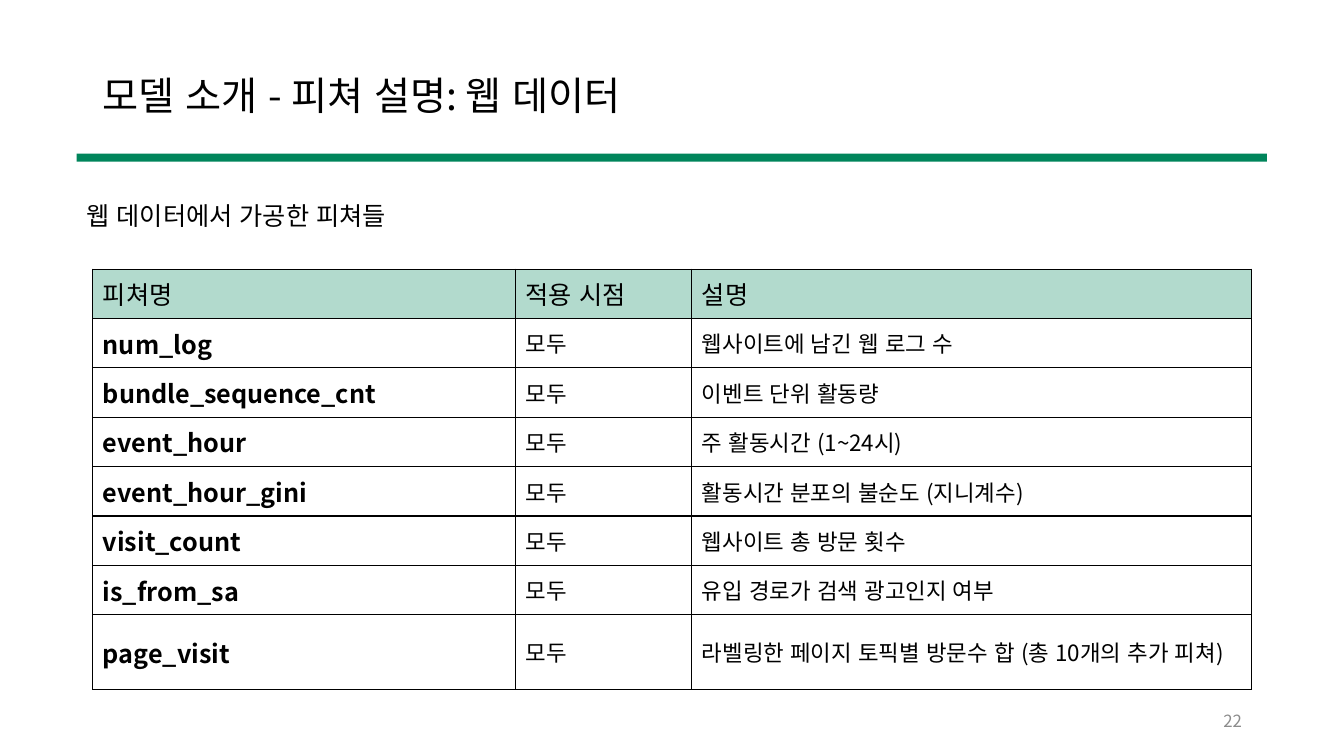
from dataclasses import dataclass

from lxml import etree
from pptx import Presentation
from pptx.dml.color import RGBColor
from pptx.enum.lang import MSO_LANGUAGE_ID
from pptx.enum.shapes import MSO_SHAPE
from pptx.enum.text import MSO_ANCHOR, MSO_AUTO_SIZE, PP_ALIGN
from pptx.oxml.ns import qn
from pptx.util import Pt

RECTANGLE = MSO_SHAPE.RECTANGLE
MIDDLE, TOP = MSO_ANCHOR.MIDDLE, MSO_ANCHOR.TOP
LEFT, RIGHT = PP_ALIGN.LEFT, PP_ALIGN.RIGHT
NO_FIT = MSO_AUTO_SIZE.NONE
KOREAN = MSO_LANGUAGE_ID.KOREAN

BLACK = RGBColor(0x00, 0x00, 0x00)
WHITE = RGBColor(0xFF, 0xFF, 0xFF)
GREY = RGBColor(0x8C, 0x8C, 0x8C)
GREEN = RGBColor(0x00, 0x85, 0x5B)
MINT = RGBColor(0xB2, 0xDA, 0xCD)

FONT = "Noto Sans CJK KR"
MARGIN = 66.24
CONTENT_WIDTH = 828
COLUMN_WIDTHS = (302, 126, 400)
ROW_HEIGHT = 35.28
TWO_LINE_ROW_HEIGHT = 53.6
HEADINGS = ("피쳐명", "적용 시점", "설명")


@dataclass
class Feature:
    name: str
    description: str
    applies_to: str = "모두"
    height: float = ROW_HEIGHT


@dataclass
class TextStyle:
    size: float
    bold: bool = False
    color: RGBColor = BLACK
    align: PP_ALIGN = LEFT


HEADING = TextStyle(18)
FEATURE_NAME = TextStyle(18, bold=True)
DETAIL = TextStyle(16)

FEATURES = [
    Feature("num_log", "웹사이트에 남긴 웹 로그 수"),
    Feature("bundle_sequence_cnt", "이벤트 단위 활동량"),
    Feature("event_hour", "주 활동시간 (1~24시)"),
    Feature("event_hour_gini", "활동시간 분포의 불순도 (지니계수)"),
    Feature("visit_count", "웹사이트 총 방문 횟수"),
    Feature("is_from_sa", "유입 경로가 검색 광고인지 여부"),
    Feature("page_visit", "라벨링한 페이지 토픽별 방문수 합 (총 10개의 추가 피쳐)",
            height=TWO_LINE_ROW_HEIGHT),
]


def write(frame, text: str, style: TextStyle) -> None:
    frame.text = text
    para = frame.paragraphs[0]
    para.alignment = style.align
    for span in para.runs:
        span.font.name = FONT
        span.font.size = Pt(style.size)
        span.font.bold = style.bold
        span.font.color.rgb = style.color
        span.font.language_id = KOREAN
        properties = span.font._element
        etree.SubElement(properties, qn("a:ea"), typeface=FONT)


def place(shape, left: float, top: float, width: float, height: float) -> None:
    shape.left, shape.top = Pt(left), Pt(top)
    shape.width, shape.height = Pt(width), Pt(height)


def add_title(page, text: str) -> None:
    title = page.shapes.title
    place(title, MARGIN, 40.32, CONTENT_WIDTH, 59.76)
    frame = title.text_frame
    write(frame, text, TextStyle(28))
    frame.auto_size = NO_FIT
    frame.vertical_anchor = MIDDLE
    frame.paragraphs[0].line_spacing = 0.9


def add_rule(page) -> None:
    rule = page.shapes.add_shape(RECTANGLE, Pt(54.72), Pt(109.7), Pt(850.32), Pt(5.76))
    rule.shadow.inherit = False
    rule.fill.solid()
    rule.fill.fore_color.rgb = GREEN
    rule.line.fill.background()


def add_label(page, text: str, left: float, top: float, width: float,
              style: TextStyle, anchor: MSO_ANCHOR) -> None:
    box = page.shapes.add_textbox(Pt(left), Pt(top), Pt(width), Pt(28.8))
    box.text_frame.word_wrap = True
    box.text_frame.vertical_anchor = anchor
    write(box.text_frame, text, style)


def add_borders(cell) -> None:
    """Draw a thin black line on all four sides; call before filling the cell."""
    properties = cell._tc.get_or_add_tcPr()
    for side in ("a:lnL", "a:lnR", "a:lnT", "a:lnB"):
        line = etree.SubElement(properties, qn(side), w=str(Pt(1)))
        fill = etree.SubElement(line, qn("a:solidFill"))
        etree.SubElement(fill, qn("a:srgbClr"), val=str(BLACK))


def fill_cell(cell, text: str, style: TextStyle, background: RGBColor) -> None:
    cell.vertical_anchor = MIDDLE
    add_borders(cell)
    cell.fill.solid()
    cell.fill.fore_color.rgb = background
    write(cell.text_frame, text, style)


def add_feature_table(page, features: list[Feature]) -> None:
    heights = [ROW_HEIGHT] + [feature.height for feature in features]
    table = page.shapes.add_table(
        len(heights), len(HEADINGS), Pt(MARGIN), Pt(192.24),
        Pt(CONTENT_WIDTH), Pt(sum(heights))).table
    table.first_row = False
    table.horz_banding = False
    for column, width in zip(table.columns, COLUMN_WIDTHS):
        column.width = Pt(width)
    for row, height in zip(table.rows, heights):
        row.height = Pt(height)

    for index, heading in enumerate(HEADINGS):
        fill_cell(table.cell(0, index), heading, HEADING, MINT)
    for row_index, feature in enumerate(features, start=1):
        fill_cell(table.cell(row_index, 0), feature.name, FEATURE_NAME, WHITE)
        fill_cell(table.cell(row_index, 1), feature.applies_to, DETAIL, WHITE)
        fill_cell(table.cell(row_index, 2), feature.description, DETAIL, WHITE)


def main() -> None:
    deck = Presentation()
    deck.slide_width, deck.slide_height = Pt(960), Pt(540)
    page = deck.slides.add_slide(deck.slide_layouts.get_by_name("Title Only"))

    add_rule(page)
    add_title(page, "모델 소개 - 피쳐 설명: 웹 데이터")
    add_label(page, "웹 데이터에서 가공한 피쳐들", 54.72, 139.68, 712.8, HEADING, TOP)
    add_feature_table(page, FEATURES)
    add_label(page, "22", 678.24, 500.4, 216,
              TextStyle(12, color=GREY, align=RIGHT), MIDDLE)

    deck.save("out.pptx")


if __name__ == "__main__":
    main()
